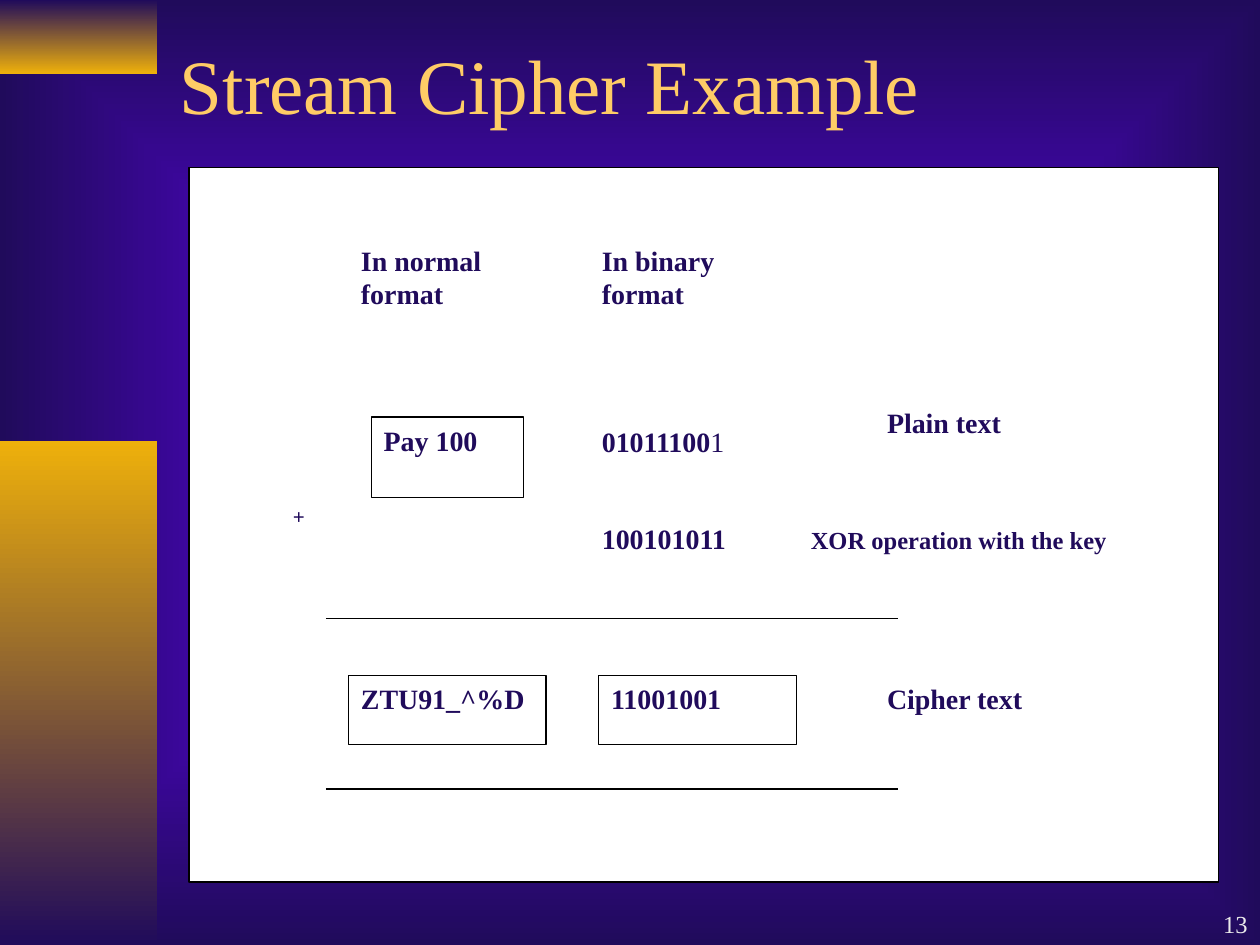
from pptx import Presentation, util as u
from pptx.dml import color
from pptx.enum import shapes, text
from pptx.oxml import ns, xmlchemy

WIDTH, HEIGHT = 10, 7.5
NAVY, VIOLET, GOLD, TITLE = "200B5B", "6600FF", "EEB00B", "FFCC66"
WHITE, BLACK, PALE = "FFFFFF", "000000", "EAEAEA"


def rgb(value):
    """Turn a hex string into a colour."""
    return color.RGBColor.from_string(value)


def apply(target, formats):
    """Set attributes of an object from a dict of format values."""
    for name, value in formats.items():
        setattr(target, name, value)


def inside(box, left, top, width, height):
    """Return the part of a box given in percent of its size."""
    x, y, w, h = box
    return x + w * left / 100, y + h * top / 100, w * width / 100, h * height / 100


def shade(fill, colours):
    """Give a fill a two-colour gradient."""
    fill.gradient()
    for stop, colour in zip(fill.gradient_stops, colours):
        stop.color.rgb = rgb(colour)


def rectangle(slide, box, fill=None, line=None):
    """Add a flat rectangle with an optional fill and outline."""
    shape = slide.shapes.add_shape(shapes.MSO_SHAPE.RECTANGLE, *map(u.Inches, box))
    shape.shadow.inherit = False
    if fill:
        shape.fill.solid()
        shape.fill.fore_color.rgb = rgb(fill)
    else:
        shape.fill.background()
    if line:
        shape.line.color.rgb = rgb(line)
        shape.line.width = u.Pt(0.75)
    else:
        shape.line.fill.background()
    return shape


def write(shape, runs, size=16, colour=NAVY, anchor="TOP", align="LEFT"):
    """Fill a shape with one paragraph of (words, bold) runs."""
    frame = shape.text_frame
    apply(frame, {"word_wrap": True, "vertical_anchor": getattr(text.MSO_ANCHOR, anchor)})
    paragraph = frame.paragraphs[0]
    paragraph.alignment = getattr(text.PP_ALIGN, align)
    for words, bold in runs:
        run = paragraph.add_run()
        run.text = words
        apply(run.font, {"name": "Times New Roman", "size": u.Pt(size), "bold": bold})
        run.font.color.rgb = rgb(colour)


def label(slide, box, runs, **formats):
    """Add a text box."""
    write(slide.shapes.add_textbox(*map(u.Inches, box)), runs, **formats)


def rule(slide, box, left, right, top):
    """Draw a horizontal line across part of a box."""
    x, y, width, _ = inside(box, left, top, right - left, 0)
    connector = slide.shapes.add_connector(
        shapes.MSO_CONNECTOR.STRAIGHT, *map(u.Inches, (x, y, x + width, y)))
    connector.line.color.rgb = rgb(BLACK)
    connector.line.width = u.Pt(0.75)
    connector._element.spPr.append(xmlchemy.OxmlElement("a:effectLst"))


def backdrop(slide):
    """Shade the background from its centre outwards."""
    shade(slide.background.fill, (VIOLET, NAVY))
    gradient = slide.element.find(".//" + ns.qn("a:gradFill"))
    gradient.remove(gradient.find(ns.qn("a:lin")))
    path = xmlchemy.OxmlElement("a:path")
    path.set("path", "rect")
    centre = xmlchemy.OxmlElement("a:fillToRect")
    for side in "ltrb":
        centre.set(side, "50000")
    path.append(centre)
    gradient.append(path)


def side_bars(slide, box):
    """Place the two gold bars in the left margin."""
    for top, height, colours in ((0, 7.8, (NAVY, GOLD)), (46.67, 53.33, (GOLD, NAVY))):
        bar = rectangle(slide, inside(box, 0, top, 100, height))
        shade(bar.fill, colours)
        bar.fill.gradient_angle = 270


def cipher_panel(slide, box):
    """Lay out the worked cipher sum on a white panel."""
    rectangle(slide, box, WHITE, BLACK)
    headings = ((15.5, "In normal format"), (38.9, "In binary format"))
    for left, words in headings:
        shape = rectangle(slide, inside(box, left, 9.7, 17, 19.2), WHITE)
        write(shape, [(words, True)])
    frames = (((17.7, 34.9, 14.8, 11.3), "Pay 100"),
              ((15.5, 71.1, 19.2, 9.7), "ZTU91_^%D"),
              ((39.8, 71.1, 19.2, 9.7), "11001001"))
    for place, words in frames:
        write(rectangle(slide, inside(box, *place), line=BLACK), [(words, True)])
    labels = (((38.9, 35.1, 15.5, 9.5), [("01011100", True), ("1", False)], 16),
              ((38.9, 48.7, 15.5, 9.5), [("100101011", True)], 16),
              ((8.9, 46.2, 6.6, 13.4), [("+", True)], 12),
              ((66.6, 32.5, 15.5, 13.8), [("Plain text", True)], 16),
              ((59.2, 49.2, 36.2, 13.8), [("XOR operation with the key", True)], 14),
              ((66.6, 71.1, 17.7, 13.8), [("Cipher text", True)], 16))
    for place, runs, size in labels:
        label(slide, inside(box, *place), runs, size=size)
    for top in (63.1, 87):
        rule(slide, box, 13.3, 68.9, top)


def main():
    """Build and save the slide."""
    presentation = Presentation()
    apply(presentation, {"slide_width": u.Inches(WIDTH), "slide_height": u.Inches(HEIGHT)})
    slide = presentation.slides.add_slide(presentation.slide_layouts[6])
    backdrop(slide)
    side_bars(slide, (0, 0, WIDTH / 8, HEIGHT))
    label(slide, (1.33, 0.33, 8.5, 0.67), [("Stream Cipher Example", False)],
          size=44, colour=TITLE, anchor="MIDDLE")
    cipher_panel(slide, (1.5, 1.33, 8.17, 5.67))
    label(slide, (7.92, 7, 2.08, 0.5), [("13", False)],
          size=14, colour=PALE, anchor="BOTTOM", align="RIGHT")
    presentation.save("out.pptx")


if __name__ == "__main__":
    main()
